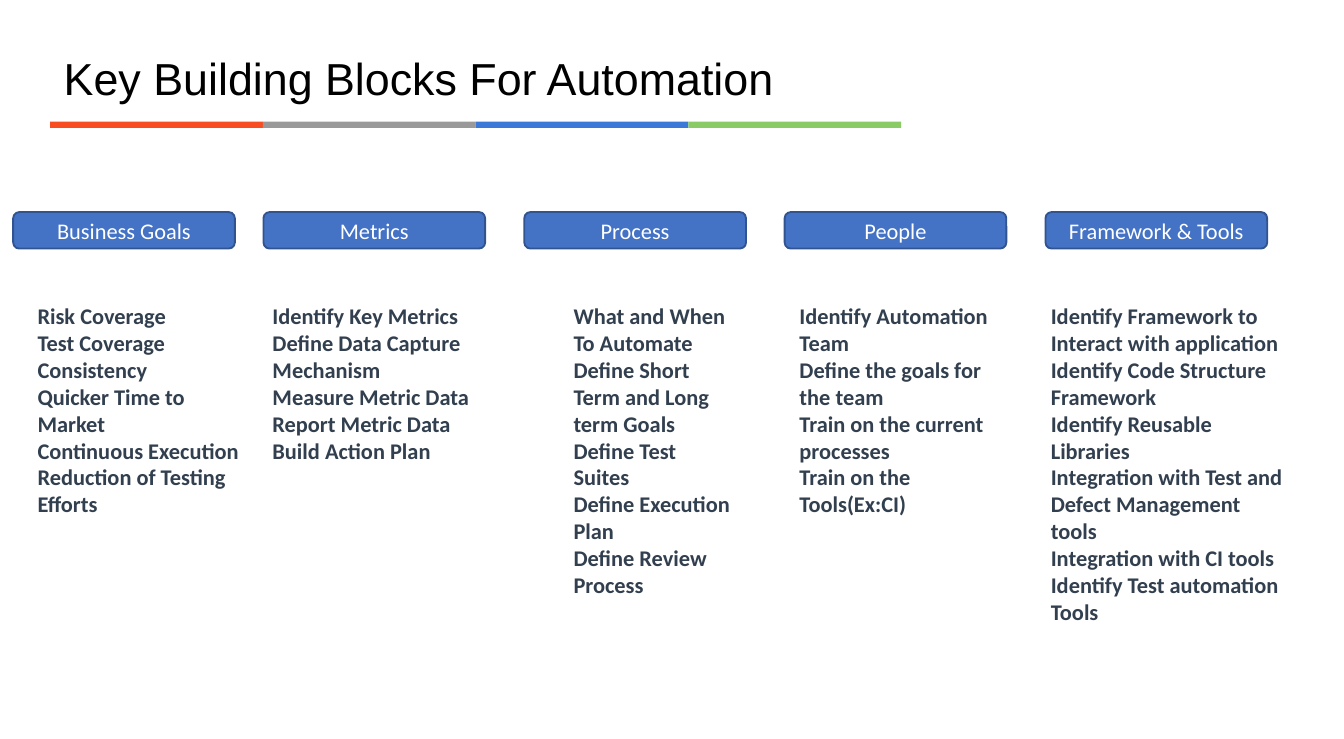
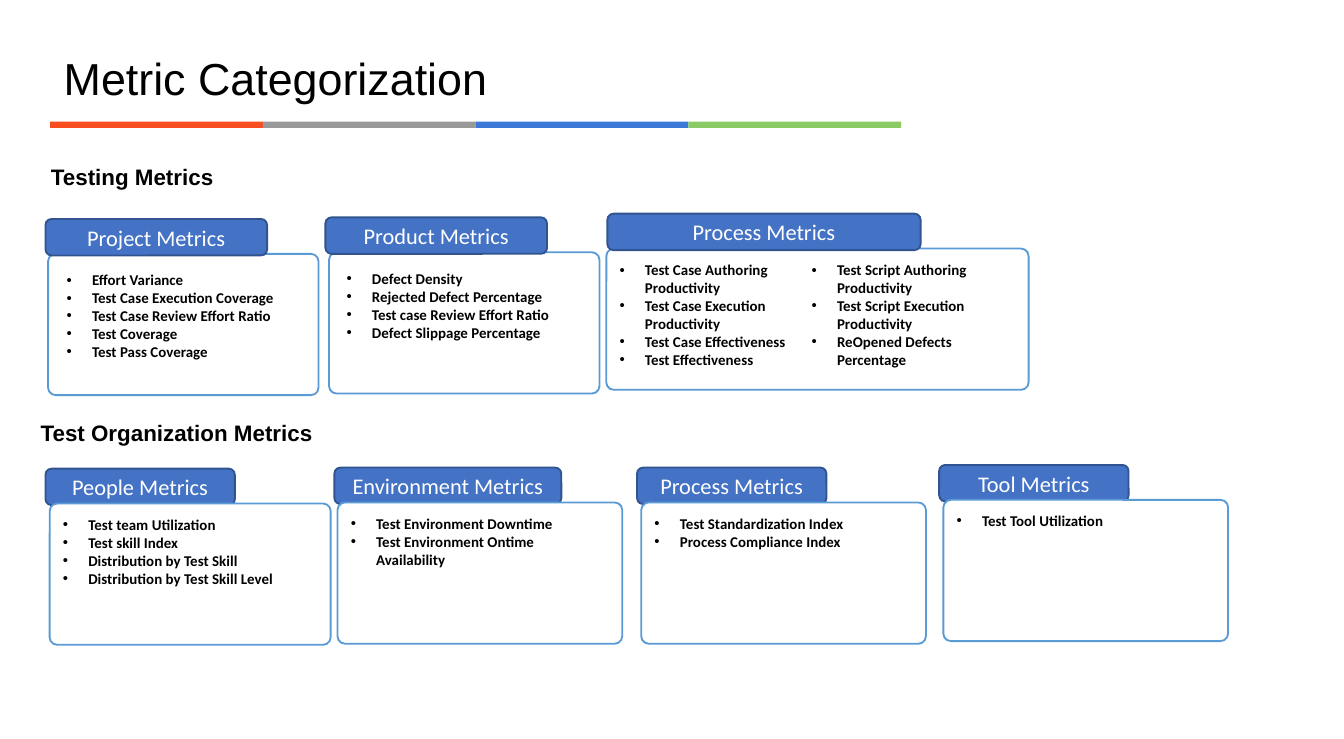
from lxml.etree import SubElement
from pptx import Presentation
from pptx.dml.color import RGBColor
from pptx.enum.shapes import MSO_SHAPE
from pptx.enum.text import MSO_ANCHOR, MSO_AUTO_SIZE, PP_ALIGN
from pptx.oxml.ns import qn
from pptx.util import Cm, Pt

BAND_COLORS = ["F84D21", "999999", "3C78D8", "8BCB66"]
BLACK, WHITE, SLATE = "000000", "FFFFFF", "323F4F"
TAB_FILL, TAB_LINE, PANEL_LINE = "4472C4", "31538F", "5B9BD5"
TAB_HEIGHT, PANEL_HEIGHT, PANEL_DROP = 0.69, 2.67, 0.66

BUILDING_BLOCKS = [
    ("Business Goals", 0.25, (0.46, 4.42, 4.7), [
        "Risk Coverage", "Test Coverage", "Consistency", "Quicker Time to Market",
        "Continuous Execution", "Reduction of Testing Efforts"]),
    ("Metrics", 4.98, (4.9, 4.32, 3.68), [
        "Identify Key Metrics", "Define Data Capture Mechanism", "Measure Metric Data",
        "Report Metric Data", "Build Action Plan"]),
    ("Process", 9.91, (10.59, 3.51, 5.89), [
        "What and When To Automate", "Define Short Term and Long term Goals",
        "Define Test Suites", "Define Execution Plan", "Define Review Process"]),
    ("People", 14.83, (14.86, 4.32, 4.37), [
        "Identify Automation Team", "Define the goals for the team",
        "Train on the current processes", "Train on the Tools(Ex:CI)"]),
    ("Framework & Tools", 19.76, (19.61, 5.03, 7.09), [
        "Identify Framework to Interact with application",
        "Identify Code Structure Framework", "Identify Reusable Libraries",
        "Integration with Test and Defect Management tools",
        "Integration with CI tools", "Identify Test automation Tools"]),
]

SECTIONS = [
    {"heading": "Testing Metrics", "box": (0.66, 2.95, 3.68, 0.76), "tab_in_front": True,
     "cards": [
         ("Project Metrics", (0.86, 4.14, 4.19), (0.91, 5.11), (0.1, 0.2, 1.96), [[
             "Effort Variance", "Test Case Execution Coverage",
             "Test Case Review Effort Ratio", "Test Coverage", "Test Pass Coverage"]]),
         ("Product Metrics", (6.15, 4.11, 4.19), (6.22, 5.11), (0.08, 0.2, 1.96), [[
             "Defect Density", "Rejected Defect Percentage",
             "Test case Review Effort Ratio", "Defect Slippage Percentage"]]),
         ("Process Metrics", (11.48, 4.04, 5.92), (11.46, 7.98), (0, 0.11, 2.31), [
             ["Test Case Authoring Productivity", "Test Case Execution Productivity",
              "Test Case Effectiveness", "Test Effectiveness"],
             ["Test Script Authoring Productivity", "Test Script Execution Productivity",
              "ReOpened Defects Percentage"]]),
     ]},
    {"heading": "Test Organization Metrics", "box": (0, 7.8, 6.68, 0.76), "tab_in_front": False,
     "cards": [
         ("People Metrics", (0.86, 8.86, 3.58), (0.94, 5.31), (0, 0.1, 1.96), [[
             "Test team Utilization", "Test skill Index",
             "Distribution by Test Skill", "Distribution by Test Skill Level"]]),
         ("Environment Metrics", (6.32, 8.84, 4.29), (6.38, 5.38), (0, 0.1, 1.27), [[
             "Test Environment Downtime", "Test Environment Ontime Availability"]]),
         ("Process Metrics", (12.04, 8.84, 3.58), (12.12, 5.38), (0, 0.1, 0.94), [[
             "Test Standardization Index", "Process Compliance Index"]]),
         ("Tool Metrics", (17.75, 8.79, 3.58), (17.83, 5.38), (0, 0.1, 0.61), [[
             "Test Tool Utilization"]]),
     ]},
]


def rgb(color):
    return RGBColor.from_string(color)


def place(box):
    return [Cm(length) for length in box]


def add_line(paragraph, text, size, color, font="Calibri", bold=False):
    run = paragraph.add_run()
    run.text = text
    run.font.name = font
    run.font.size = Pt(size)
    run.font.bold = bold
    run.font.color.rgb = rgb(color)


def add_bullet(paragraph):
    properties = paragraph._p.get_or_add_pPr()
    properties.set("marL", str(Cm(0.48)))
    properties.set("indent", str(-Cm(0.48)))
    SubElement(properties, qn("a:buFont")).set("typeface", "Arial")
    SubElement(properties, qn("a:buChar")).set("char", "•")


def add_box(slide, kind, box, fill, line=None, corner=None):
    shape = slide.shapes.add_shape(kind, *place(box))
    shape.shadow.inherit = False
    shape.fill.solid()
    shape.fill.fore_color.rgb = rgb(fill)
    if line:
        shape.line.color.rgb = rgb(line)
        shape.line.width = Pt(1)
    else:
        shape.line.fill.background()
    if corner is not None:
        shape.adjustments[0] = corner
    return shape


def add_tab(slide, text, left, top, width):
    box = (left, top, width, TAB_HEIGHT)
    tab = add_box(slide, MSO_SHAPE.ROUNDED_RECTANGLE, box, TAB_FILL, TAB_LINE, 0.167)
    frame = tab.text_frame
    frame.vertical_anchor = MSO_ANCHOR.MIDDLE
    frame.paragraphs[0].alignment = PP_ALIGN.CENTER
    add_line(frame.paragraphs[0], text, 12, WHITE)


def add_panel(slide, left, top, width):
    box = (left, top, width, PANEL_HEIGHT)
    add_box(slide, MSO_SHAPE.ROUNDED_RECTANGLE, box, WHITE, PANEL_LINE, 0.053)


def add_list(slide, box, items, size, color, bulleted=False):
    frame = slide.shapes.add_textbox(*place(box)).text_frame
    frame.word_wrap = True
    for index, item in enumerate(items):
        paragraph = frame.add_paragraph() if index else frame.paragraphs[0]
        if bulleted:
            add_bullet(paragraph)
        add_line(paragraph, item, size, color, bold=True)


def add_heading(slide, text, box):
    frame = slide.shapes.add_textbox(*place(box)).text_frame
    frame.word_wrap = True
    frame.vertical_anchor = MSO_ANCHOR.MIDDLE
    frame.paragraphs[0].alignment = PP_ALIGN.CENTER
    add_line(frame.paragraphs[0], text, 12, BLACK, "Arial", True)


def add_slide(presentation, text):
    slide = presentation.slides.add_slide(presentation.slide_layouts[5])
    for index, color in enumerate(BAND_COLORS):
        add_box(slide, MSO_SHAPE.RECTANGLE, (0.95 + index * 4.02, 2.3, 4.02, 0.12), color)
    title = slide.shapes.title
    title.left, title.top, title.width, title.height = place((0.95, 0.84, 22.07, 2.82))
    frame = title.text_frame
    frame.auto_size = MSO_AUTO_SIZE.NONE
    frame.vertical_anchor = MSO_ANCHOR.TOP
    frame.paragraphs[0].alignment = PP_ALIGN.LEFT
    add_line(frame.paragraphs[0], text, 24, BLACK, "Arial")
    return slide


def build_blocks(presentation):
    slide = add_slide(presentation, "Key Building Blocks For Automation")
    for name, tab_left, (left, width, height), items in BUILDING_BLOCKS:
        add_tab(slide, name, tab_left, 4.01, 4.19)
        add_list(slide, (left, 5.59, width, height), items, 12, SLATE)


def add_card(slide, card, tab_in_front):
    name, tab, (left, width), (inset_left, inset_top, height), columns = card
    top = tab[1] + PANEL_DROP
    if not tab_in_front:
        add_tab(slide, name, *tab)
    add_panel(slide, left, top, width)
    if tab_in_front:
        add_tab(slide, name, *tab)
    for index, items in enumerate(columns):
        box = (left + inset_left + index * 3.63, top + inset_top, 4.5, height)
        add_list(slide, box, items, 8, BLACK, bulleted=True)


def build_metrics(presentation):
    slide = add_slide(presentation, "Metric Categorization")
    for section in SECTIONS:
        add_heading(slide, section["heading"], section["box"])
        for card in section["cards"]:
            add_card(slide, card, section["tab_in_front"])


def main():
    presentation = Presentation()
    presentation.slide_width, presentation.slide_height = Cm(25.4), Cm(13.97)
    build_blocks(presentation)
    build_metrics(presentation)
    presentation.save("out.pptx")


if __name__ == "__main__":
    main()
